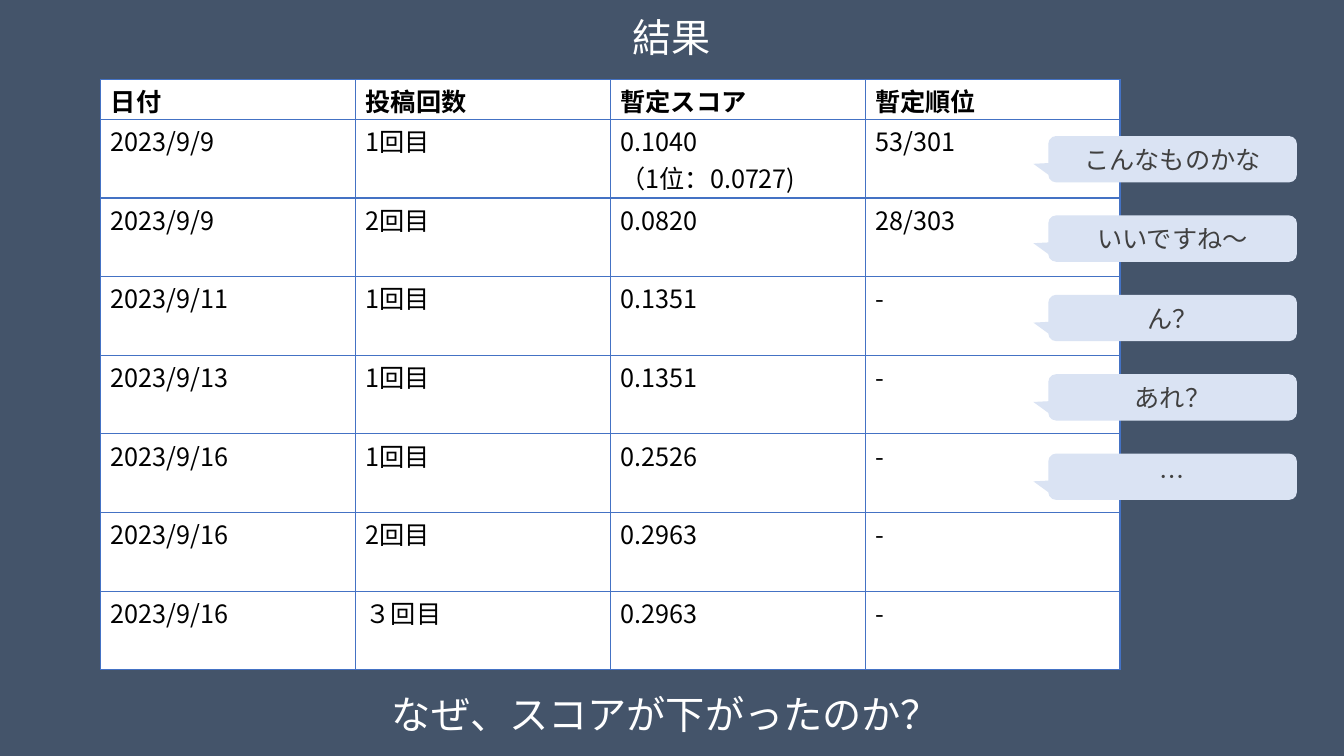
from dataclasses import dataclass

import lxml.etree
import pptx
import pptx.dml.color
import pptx.enum.shapes
import pptx.enum.text
import pptx.oxml.ns
import pptx.util

ANCHOR = pptx.enum.text.MSO_ANCHOR
ALIGN = pptx.enum.text.PP_ALIGN


@dataclass(frozen=True)
class Theme:
    font: str = "Noto Sans CJK JP"
    background: str = "44546A"
    heading: str = "FFFFFF"
    cell_text: str = "000000"
    cell_fill: str = "FFFFFF"
    border: str = "4472C4"
    remark_text: str = "404040"
    remark_fill: str = "DAE3F3"
    heading_size: int = 28
    body_size: int = 18
    border_width: int = 1


def rgb(value):
    return pptx.dml.color.RGBColor.from_string(value)


def apply(target, formats):
    for attribute, value in formats.items():
        setattr(target, attribute, value)


class SlideBuilder:
    """Adds elements whose boxes are percentages of the slide's width and height."""

    def __init__(self, deck, theme):
        self.deck, self.theme = deck, theme
        self.slide = deck.slides.add_slide(deck.slide_layouts[5])
        background = self.slide.background.fill
        background.solid()
        background.fore_color.rgb = rgb(theme.background)

    def across(self, percent):
        return round(self.deck.slide_width * percent / 100)

    def down(self, percent):
        return round(self.deck.slide_height * percent / 100)

    def box(self, left, top, width, height):
        return self.across(left), self.down(top), self.across(width), self.down(height)

    def set_text(self, frame, text, size, color, bold=False, align=ALIGN.CENTER):
        frame.text = text
        font_format = {"name": self.theme.font, "size": pptx.util.Pt(size), "bold": bold}
        for paragraph in frame.paragraphs:
            paragraph.alignment = align
            for run in paragraph.runs:
                apply(run.font, font_format)
                run.font.color.rgb = rgb(color)
                east_asian = lxml.etree.SubElement(
                    run.font._element, pptx.oxml.ns.qn("a:ea"))
                east_asian.set("typeface", self.theme.font)

    def heading(self, shape, text):
        apply(shape.text_frame, {
            "word_wrap": True,
            "auto_size": pptx.enum.text.MSO_AUTO_SIZE.NONE,
            "vertical_anchor": ANCHOR.MIDDLE,
        })
        self.set_text(shape.text_frame, text, self.theme.heading_size, self.theme.heading)

    def title(self, text, *box):
        title = self.slide.shapes.title
        apply(title, dict(zip(("left", "top", "width", "height"), self.box(*box))))
        self.heading(title, text)

    def question(self, text, *box):
        self.heading(self.slide.shapes.add_textbox(*self.box(*box)), text)

    def border(self, cell):
        properties = cell._tc.get_or_add_tcPr()
        for position, side in enumerate(("lnL", "lnR", "lnT", "lnB")):
            line = lxml.etree.Element(pptx.oxml.ns.qn(f"a:{side}"))
            line.set("w", str(pptx.util.Pt(self.theme.border_width)))
            fill = lxml.etree.SubElement(line, pptx.oxml.ns.qn("a:solidFill"))
            color = lxml.etree.SubElement(fill, pptx.oxml.ns.qn("a:srgbClr"))
            color.set("val", self.theme.border)
            properties.insert(position, line)

    def table(self, records, left, top, width, header_height, row_height):
        height = header_height + row_height * (len(records) - 1)
        table = self.slide.shapes.add_table(
            len(records), len(records[0]), *self.box(left, top, width, height)).table
        apply(table, {"first_row": False, "horz_banding": False})
        cell_format = {
            "margin_top": pptx.util.Inches(0.03),
            "margin_bottom": 0,
            "vertical_anchor": ANCHOR.TOP,
        }
        for index, record in enumerate(records):
            is_header = index == 0
            table.rows[index].height = self.down(header_height if is_header else row_height)
            for cell, text in zip(table.rows[index].cells, record):
                apply(cell, cell_format)
                cell.fill.solid()
                cell.fill.fore_color.rgb = rgb(self.theme.cell_fill)
                self.border(cell)
                self.set_text(cell.text_frame, text, self.theme.body_size,
                              self.theme.cell_text, is_header, ALIGN.LEFT)

    def remark(self, text, *box):
        callout = self.slide.shapes.add_shape(
            pptx.enum.shapes.MSO_SHAPE.ROUNDED_RECTANGULAR_CALLOUT, *self.box(*box))
        for index, value in enumerate((-0.56, 0.1, 0.17)):
            callout.adjustments[index] = value
        callout.shadow.inherit = False
        callout.fill.solid()
        callout.fill.fore_color.rgb = rgb(self.theme.remark_fill)
        callout.line.fill.background()
        callout.text_frame.vertical_anchor = ANCHOR.MIDDLE
        self.set_text(callout.text_frame, text, self.theme.body_size, self.theme.remark_text)


RESULTS = [
    ("日付", "投稿回数", "暫定スコア", "暫定順位"),
    ("2023/9/9", "1回目", "0.1040\n（1位：0.0727)", "53/301"),
    ("2023/9/9", "2回目", "0.0820", "28/303"),
    ("2023/9/11", "1回目", "0.1351", "-"),
    ("2023/9/13", "1回目", "0.1351", "-"),
    ("2023/9/16", "1回目", "0.2526", "-"),
    ("2023/9/16", "2回目", "0.2963", "-"),
    ("2023/9/16", "３回目", "0.2963", "-"),
]
REMARKS = ["こんなものかな", "いいですね～", "ん？", "あれ？", "…"]


def main():
    deck = pptx.Presentation()
    apply(deck, {"slide_width": pptx.util.Inches(13.33),
                 "slide_height": pptx.util.Inches(7.5)})
    builder = SlideBuilder(deck, Theme())
    builder.title("結果", 0.45, 0.8, 99.1, 8.13)
    builder.table(RESULTS, 7.5, 10.5, 75.84, header_height=5.3, row_height=10.4)
    builder.question("なぜ、スコアが下がったのか？", 0, 90.4, 99.1, 8.13)
    for index, text in enumerate(REMARKS):
        builder.remark(text, 78, 18 + 10.5 * index, 18.5, 6.13)
    deck.save("out.pptx")


if __name__ == "__main__":
    main()
